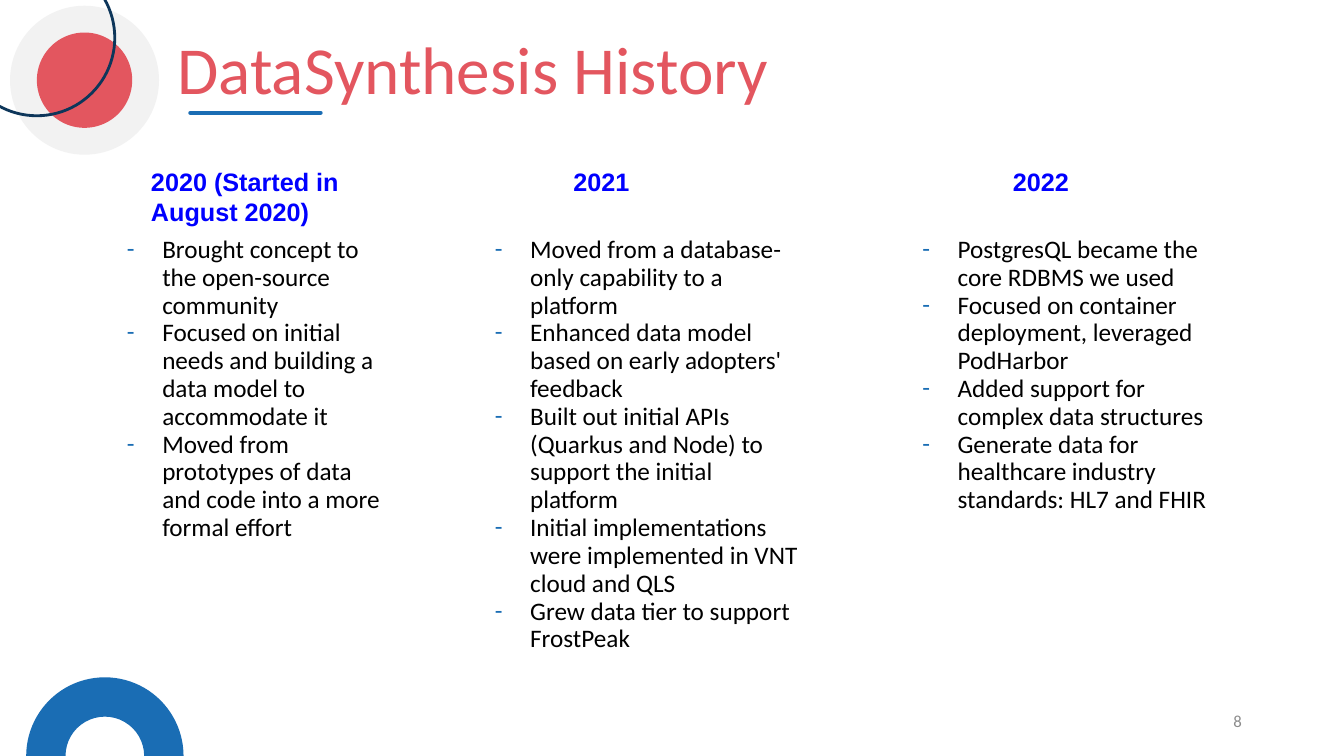
import pptx
import pptx.dml.color
import pptx.enum.shapes
import pptx.enum.text
import pptx.oxml
import pptx.oxml.ns
import pptx.util

Pt = pptx.util.Pt
SHAPE = pptx.enum.shapes.MSO_SHAPE
ALIGN = pptx.enum.text.PP_ALIGN
ANCHOR = pptx.enum.text.MSO_ANCHOR

COLORS = {
    "coral": "E3565F",
    "blue": "1A6DB4",
    "navy": "0D365A",
    "pale": "F2F2F2",
    "heading": "0000FF",
    "text": "000000",
    "number": "8C8C8C",
}
LIST_INSET = 7.2
LIST_TOP, LIST_HEIGHT = 161.5, 315
HEADING_TOP, HEADING_HEIGHT = 111.6, 32.4

# heading, heading left and width, list left and width, items
YEARS = [
    ("2020 (Started in August 2020)", (100.8, 163.4), (72.7, 209.5), [
        "Brought concept to the open-source community",
        "Focused on initial needs and building a data model to accommodate it",
        "Moved from prototypes of data and code into a more formal effort",
    ]),
    ("2021", (402.5, 100.8), (335.5, 246.2), [
        "Moved from a database-only capability to a platform",
        "Enhanced data model based on early adopters' feedback",
        "Built out initial APIs (Quarkus and Node) to support the initial platform",
        "Initial implementations were implemented in VNT cloud and QLS",
        "Grew data tier to support FrostPeak",
    ]),
    ("2022", (716.4, 100.8), (640.8, 246.2), [
        "PostgresQL became the core RDBMS we used",
        "Focused on container deployment, leveraged PodHarbor",
        "Added support for complex data structures",
        "Generate data for healthcare industry standards: HL7 and FHIR",
    ]),
]


def rgb(name):
    return pptx.dml.color.RGBColor.from_string(COLORS[name])


def place(shape, box):
    for side, length in zip(("left", "top", "width", "height"), box):
        setattr(shape, side, Pt(length))


def set_frame(frame, inset_x=7.2, inset_y=3.6, anchor=ANCHOR.TOP, wrap=True):
    settings = {
        "margin_left": Pt(inset_x), "margin_right": Pt(inset_x),
        "margin_top": Pt(inset_y), "margin_bottom": Pt(inset_y),
        "vertical_anchor": anchor, "word_wrap": wrap,
        "auto_size": pptx.enum.text.MSO_AUTO_SIZE.NONE,
    }
    for key, value in settings.items():
        setattr(frame, key, value)


def write(paragraph, text, size, color, font="Calibri", bold=False, align=ALIGN.LEFT):
    paragraph.alignment = align
    run = paragraph.add_run()
    run.text = text
    for key, value in {"name": font, "size": Pt(size), "bold": bold}.items():
        setattr(run.font, key, value)
    run.font.color.rgb = rgb(color)


def add_dash(paragraph):
    """Give the paragraph a hanging blue dash."""
    properties = paragraph._p.get_or_add_pPr()
    properties.set("marL", str(Pt(36)))
    properties.set("indent", str(-Pt(25.2)))
    namespace = pptx.oxml.ns.nsdecls("a")
    for bullet in (
        f'<a:buClr {namespace}><a:srgbClr val="{COLORS["blue"]}"/></a:buClr>',
        f'<a:buFont {namespace} typeface="Calibri"/>',
        f'<a:buChar {namespace} char="-"/>',
    ):
        properties.append(pptx.oxml.parse_xml(bullet))


def add_round(slide, kind, box, fill=None, outline=None):
    """Add a circular ornament, filled or only outlined."""
    ornament = slide.shapes.add_shape(kind, *map(Pt, box))
    ornament.shadow.inherit = False
    if fill:
        ornament.fill.solid()
        ornament.fill.fore_color.rgb = rgb(fill)
    else:
        ornament.fill.background()
    if outline:
        ornament.line.color.rgb = rgb(outline)
        ornament.line.width = Pt(2)
    else:
        ornament.line.fill.background()


def add_circles(slide, left, top, size):
    """Draw the corner ornament; the box is that of the pale disc."""
    margin = 0.18 * size
    inner = size - 2 * margin
    add_round(slide, SHAPE.OVAL, (left, top, size, size), fill="pale")
    add_round(slide, SHAPE.OVAL, (left + margin, top + margin, inner, inner), fill="coral")
    add_round(slide, SHAPE.OVAL, (left - 36.6, top - 32.8, 111.4, 111.4), outline="navy")


def add_title(slide, left, top, width, height):
    title = slide.shapes.title
    place(title, (left, top, width, height))
    set_frame(title.text_frame, wrap=False)
    write(title.text_frame.paragraphs[0], "DataSynthesis History", 48, "coral")

    start, level = left + 16.5, top + 64.8
    underline = slide.shapes.add_connector(
        pptx.enum.shapes.MSO_CONNECTOR.STRAIGHT,
        Pt(start), Pt(level), Pt(start + 93), Pt(level))
    underline.line.color.rgb = rgb("blue")
    underline.line.width = Pt(3)
    underline.line._get_or_add_ln().set("cap", "rnd")
    effects = f'<a:effectLst {pptx.oxml.ns.nsdecls("a")}/>'
    underline._element.spPr.append(pptx.oxml.parse_xml(effects))


def add_heading(slide, text, box):
    heading = slide.shapes.add_textbox(*map(Pt, box))
    set_frame(heading.text_frame, inset_y=7.2)
    write(heading.text_frame.paragraphs[0], text, 18, "heading", font="Arial", bold=True)


def fill_list(body, items, box):
    place(body, box)
    set_frame(body.text_frame, LIST_INSET, LIST_INSET)
    for index, item in enumerate(items):
        frame = body.text_frame
        paragraph = frame.add_paragraph() if index else frame.paragraphs[0]
        add_dash(paragraph)
        spacing = {"line_spacing": 0.92, "space_before": Pt(0), "space_after": Pt(0)}
        for key, value in spacing.items():
            setattr(paragraph, key, value)
        write(paragraph, item, 18, "text")


def add_page_number(slide, left, top, width, height):
    number = slide.shapes.add_textbox(Pt(left), Pt(top), Pt(width), Pt(height))
    set_frame(number.text_frame, anchor=ANCHOR.MIDDLE)
    write(number.text_frame.paragraphs[0], "8", 12, "number", align=ALIGN.RIGHT)


def build_history(presentation):
    comparison = presentation.slide_layouts.get_by_name("Comparison")
    slide = presentation.slides.add_slide(comparison)
    *bodies, spare = [holder for holder in slide.placeholders
                      if holder.placeholder_format.idx > 0]
    spare._element.getparent().remove(spare._element)

    add_title(slide, 119.5, 15.8, 486, 65.8)
    add_round(slide, SHAPE.BLOCK_ARC, (18.7, 483.8, 112.4, 112.4), fill="blue")
    add_circles(slide, 7.2, 4.1, 106.4)
    add_page_number(slide, 678.2, 500.4, 216, 28.8)
    for body, (year, heading_span, list_span, items) in zip(bodies, YEARS):
        heading_left, heading_width = heading_span
        list_left, list_width = list_span
        add_heading(slide, year, (heading_left, HEADING_TOP, heading_width, HEADING_HEIGHT))
        fill_list(body, items, (list_left, LIST_TOP, list_width, LIST_HEIGHT))


def main():
    presentation = pptx.Presentation()
    presentation.slide_width = Pt(960)
    presentation.slide_height = Pt(540)
    build_history(presentation)
    presentation.save("out.pptx")


if __name__ == "__main__":
    main()
